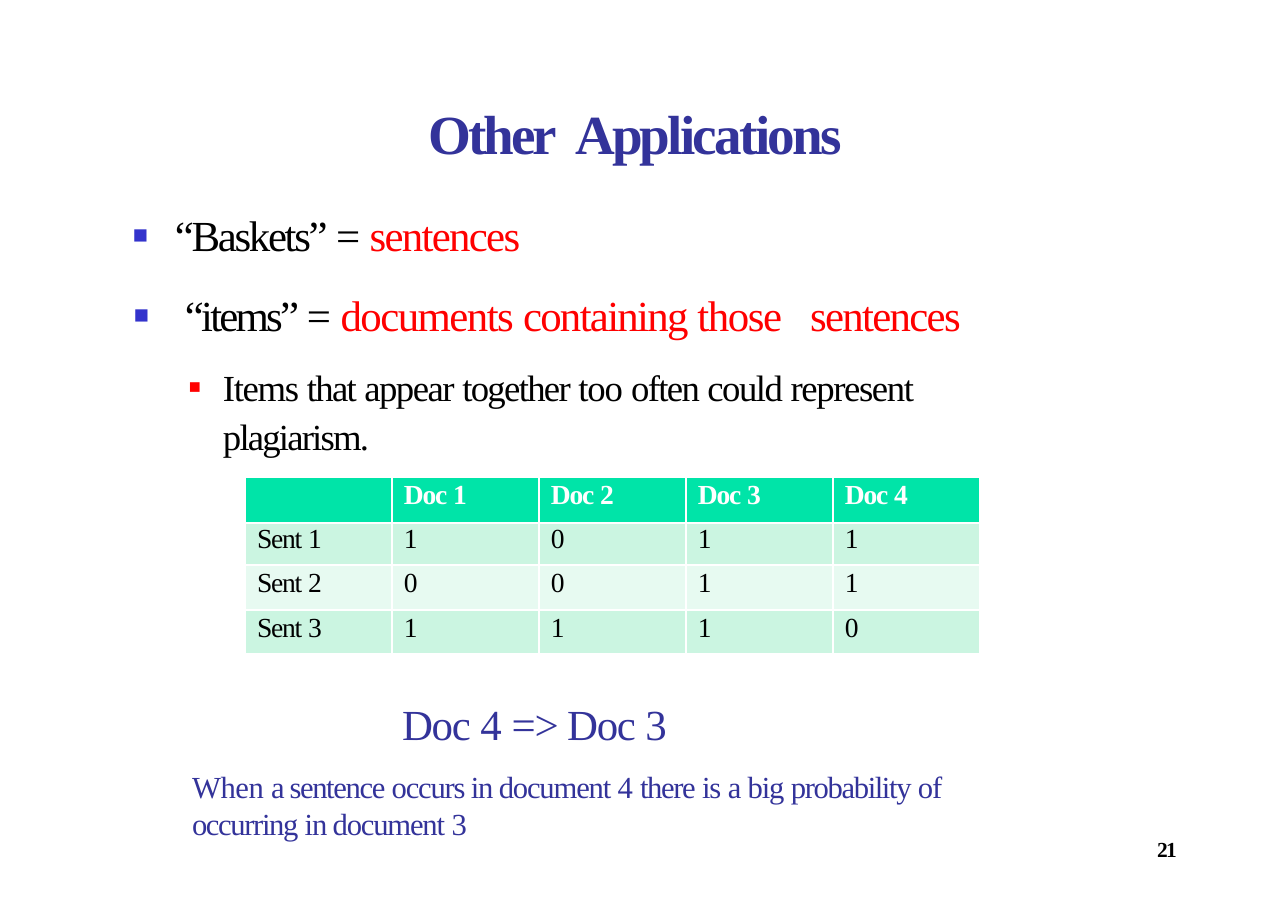
from lxml import etree
from pptx import Presentation
from pptx.dml.color import RGBColor
from pptx.oxml.ns import qn
from pptx.util import Emu, Pt

PX = 8298  # EMU per px
FONT = "Times New Roman"
NAVY, BLACK, RED, WHITE = "33339A", "000000", "FF0000", "FFFFFF"
BULLET_BLUE = "3333CC"
HEADER_GREEN, MINT, PALE_MINT = "00E4A8", "CBF5E1", "E7FAF1"


def text_box(left, top, width, height, inset_top=0):
    """Add a wrapping text box without side insets and return its text frame."""
    tf = s.shapes.add_textbox(*(Emu(v * PX) for v in (left, top, width, height))).text_frame
    tf.word_wrap = True
    tf.margin_left = tf.margin_right = tf.margin_bottom = 0
    tf.margin_top = Emu(inset_top * PX)
    return tf


def write(p, runs, size, before=0, margin=0, indent=0, bold=False):
    """Fill a paragraph with runs given as (text, colour, letter spacing in pt)."""
    p.space_before = Pt(before)
    pPr = p._p.get_or_add_pPr()
    pPr.set("marL", str(margin * PX))
    pPr.set("indent", str(indent * PX))
    for text, color, spacing in runs:
        r = p.add_run()
        r.text = text
        r.font.name, r.font.size, r.font.bold = FONT, Pt(size), bold
        r.font.color.rgb = RGBColor.from_string(color)
        r._r.get_or_add_rPr().set("spc", str(round(spacing * 100)))


prs = Presentation()
prs.slide_width, prs.slide_height = Emu(1288 * PX), Emu(911 * PX)
s = prs.slides.add_slide(prs.slide_layouts[6])

# Page number
p = text_box(1154, 840, 28, 22).paragraphs[0]
p.line_spacing = Pt(14.3)
write(p, [("21", BLACK, -1.1)], 14, margin=3, bold=True)

# Title
p = text_box(428, 98, 433, 69, 1).paragraphs[0]
write(p, [("Other", NAVY, -2), (" ", NAVY, 2.5), ("Applications", NAVY, -1.8)],
      36, before=1, margin=1, bold=True)

# Bulleted body: runs, size, space before, margin, indent, bullet colour, bullet size
bullets = [
    ([("“Baskets” ", BLACK, -1.5), ("= ", BLACK, -0.8), ("sentences", RED, -1.1)],
     28, 19.4, 43, -42, BULLET_BLUE, 59),
    ([("“items” ", BLACK, -1.8), ("= ", BLACK, -0.8), ("documents ", RED, -1),
      ("containing ", RED, -1.1), ("those", RED, -0.9), (" ", RED, 11.3),
      ("sentences", RED, -1.1)],
     28, 18.5, 53, -51, BULLET_BLUE, 59),
    ([("Items ", BLACK, -0.9), ("that ", BLACK, -1.1), ("appear ", BLACK, -1),
      ("together ", BLACK, -1.1), ("too ", BLACK, -0.7), ("often ", BLACK, -1.1),
      ("could ", BLACK, -1), ("represent ", BLACK, -0.9), ("plagiarism.", BLACK, -1.2)],
     24, 13.4, 91, -34, RED, 54),
]
tf = text_box(132, 179, 907, 280, 30)
for i, (runs, size, before, margin, indent, color, percent) in enumerate(bullets):
    p = tf.add_paragraph() if i else tf.paragraphs[0]
    if size == 24:
        p.level = 1
        p.line_spacing = 1.1
    write(p, runs, size, before, margin, indent)
    pPr = p._p.get_or_add_pPr()
    bullet_color = etree.SubElement(pPr, qn("a:buClr"))
    etree.SubElement(bullet_color, qn("a:srgbClr"), val=color)
    etree.SubElement(pPr, qn("a:buSzPct"), val=str(percent * 1000))
    etree.SubElement(pPr, qn("a:buFont"), typeface=FONT)
    etree.SubElement(pPr, qn("a:buChar"), char="■")

# Sentence-by-document table
rows = [
    ["", "Doc 1", "Doc 2", "Doc 3", "Doc 4"],
    ["Sent 1", "1", "0", "1", "1"],
    ["Sent 2", "0", "0", "1", "1"],
    ["Sent 3", "1", "1", "1", "0"],
]
row_heights = [46, 42, 45, 44]
row_fills = [HEADER_GREEN, MINT, PALE_MINT, MINT]
row_borders = ["LRT", "LRB", "LRTB", "LRTB"]
column_width = 147
table = s.shapes.add_table(len(rows), len(rows[0]), Emu(245 * PX), Emu(477 * PX),
                           Emu(column_width * len(rows[0]) * PX),
                           Emu(sum(row_heights) * PX)).table
for column in table.columns:
    column.width = Emu(column_width * PX)
for i, values in enumerate(rows):
    table.rows[i].height = Emu(row_heights[i] * PX)
    for j, value in enumerate(values):
        cell = table.cell(i, j)
        cell.margin_left = cell.margin_right = cell.margin_bottom = 0
        cell.margin_top = Emu((1 if i == 1 else 3) * PX)
        cell.fill.solid()
        cell.fill.fore_color.rgb = RGBColor.from_string(row_fills[i])
        if value:
            word, space, number = value.rpartition(" ")
            color = BLACK if i else WHITE
            runs = [(number, color, 0)]
            if word:
                runs = [(word + space, color, -0.8), (number, color, -0.3 if i else -1.4)]
            write(cell.text_frame.paragraphs[0], runs, 18,
                  before=0.9 if i == 1 else 2.4, margin=12, bold=i == 0)
        tcPr = cell._tc.get_or_add_tcPr()
        for k, side in enumerate(row_borders[i]):
            line = etree.Element(qn("a:ln" + side), w=str(Pt(1.5)))
            fill = etree.SubElement(line, qn("a:solidFill"))
            etree.SubElement(fill, qn("a:srgbClr"), val=WHITE)
            tcPr.insert(k, line)

# Rule and its explanation
tf = text_box(191, 670, 833, 172, 28)
write(tf.paragraphs[0], [("Doc ", NAVY, -0.8), ("4 ", NAVY, -0.5),
                         ("=> Doc ", NAVY, -0.8), ("3", NAVY, -0.5)],
      28, before=17.7, margin=211)
write(tf.add_paragraph(), [
    ("When ", NAVY, -0.3), ("a sentence ", NAVY, -0.9), ("occurs in document ", NAVY, -0.8),
    ("4 ", NAVY, -0.4), ("there ", NAVY, -0.9), ("is ", NAVY, -0.8), ("a ", NAVY, -0.9),
    ("big ", NAVY, -0.8), ("probability ", NAVY, -0.9), ("of ", NAVY, -0.8),
    ("occurring ", NAVY, -0.9), ("in document ", NAVY, -0.8), ("3", NAVY, -0.4),
], 20, before=11.9, margin=1)

prs.save("out.pptx")
